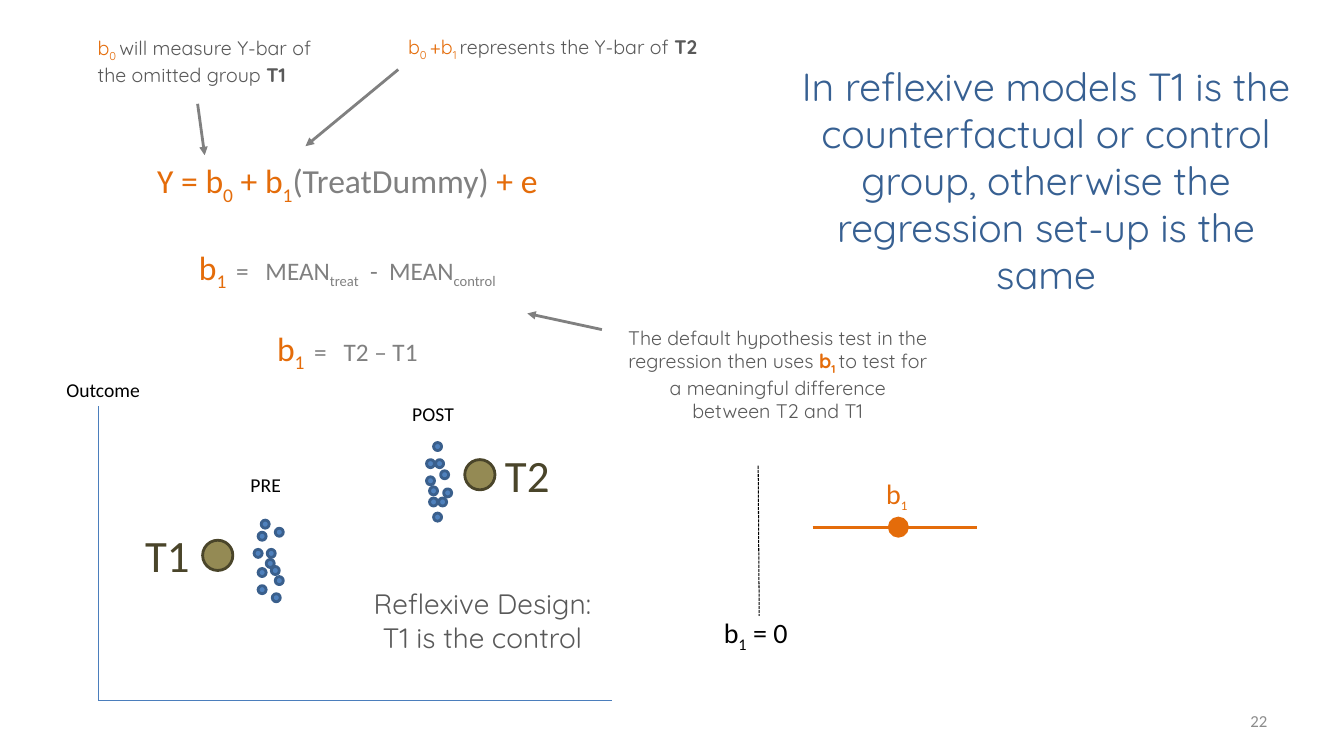
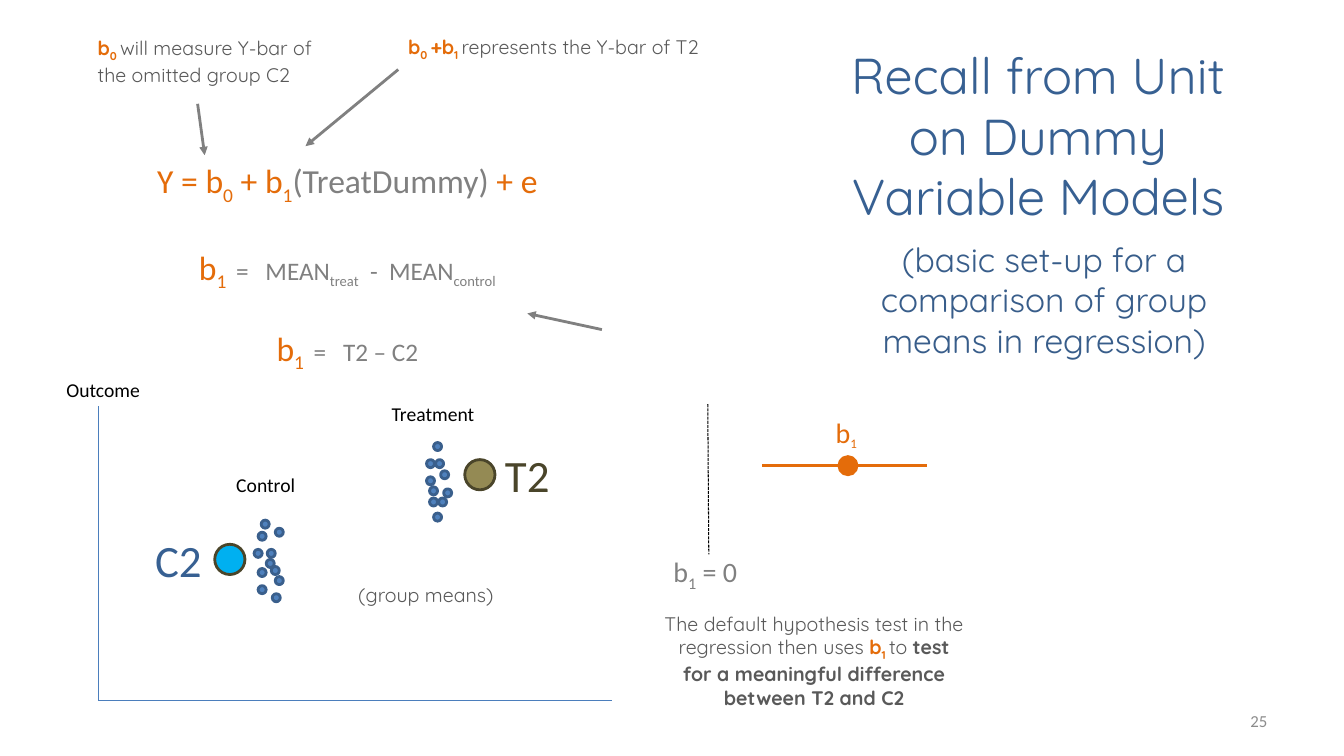
from lxml import etree
from pptx import Presentation
from pptx.dml.color import RGBColor
from pptx.enum.dml import MSO_LINE
from pptx.enum.shapes import MSO_CONNECTOR, MSO_SHAPE
from pptx.enum.text import MSO_ANCHOR, MSO_AUTO_SIZE, PP_ALIGN
from pptx.oxml.ns import qn
from pptx.util import Inches, Pt

LEFT, CENTER, RIGHT = PP_ALIGN.LEFT, PP_ALIGN.CENTER, PP_ALIGN.RIGHT
TOP, MIDDLE = MSO_ANCHOR.TOP, MSO_ANCHOR.MIDDLE
NO_FIT = MSO_AUTO_SIZE.NONE
STRAIGHT = MSO_CONNECTOR.STRAIGHT
OVAL = MSO_SHAPE.OVAL
SHORT_DASH = MSO_LINE.SQUARE_DOT

COLORS = {
    "black": "000000", "gray": "808080", "text": "595959", "number": "8C8C8C",
    "orange": "E46C0A", "title": "376092", "subtitle": "385D8A",
    "axis": "4B7EBC", "dot": "4F81BD", "dot_edge": "3A5F8C",
    "olive": "948A54", "olive_dark": "4A452A", "cyan": "00B0F0",
}
BODY, HEAD = "Calibri", "Quicksand"

SUB = {"baseline": -25000}
WIDE_SUB = {"baseline": -25000, "spc": 180}
GRAY = {"color": "gray", "size": 18}
GRAY_SUB = {**GRAY, **SUB}
GRAY_EQUALS = {**GRAY, "spc": 400}
GRAY_MINUS = {**GRAY, "spc": 200}
ORANGE = {"color": "orange"}
BOLD = {"bold": True}
ORANGE_BOLD = {**ORANGE, **BOLD}

PRE_DOTS = [(2.52, 5.45), (2.65, 5.45), (2.64, 5.55), (2.56, 5.64), (2.73, 5.72),
            (2.56, 5.81), (2.7, 5.89), (2.73, 5.24), (2.59, 5.16), (2.56, 5.28),
            (2.69, 5.62)]
POST_DOTS = [(4.23, 4.73), (4.23, 4.56), (4.37, 4.67), (4.4, 4.85), (4.26, 4.94),
             (4.35, 4.94), (4.3, 5.09), (4.3, 4.39), (4.32, 4.56), (4.26, 4.83)]

SLIDES = [
    {
        "number": "22",
        "title": "In reflexive models T1 is the counterfactual or control group, "
                 "otherwise the regression set-up is the same",
        "title_at": (7.81, 0.57, 5.13, 2.46), "title_size": 28,
        "base": "T1", "base_at": (1.34, 5.19, 0.65, 0.64),
        "base_color": "olive_dark", "base_mean": (2.01, 5.36, "olive"),
        "before": "PRE", "after": "POST",
        "term": {}, "group": BOLD,
        "test_at": (6.13, 3.18, 3.17, 1.04),
        "test_end": [("to test for a meaningful difference between T2 and T1", {})],
        "plot": (7.52, 4.62), "zero_color": "black",
        "note": ["Reflexive Design:", "T1 is the control"],
        "note_at": (3.2, 5.77, 3.17, 0.77), "note_size": 20,
    },
    {
        "number": "25",
        "title": "Recall from Unit on Dummy Variable Models",
        "title_at": (8.22, 0.39, 4.15, 1.92), "title_size": 36,
        "subtitle": "(basic set-up for a comparison of group means in regression)",
        "base": "C2", "base_at": (1.44, 5.24, 0.67, 0.64),
        "base_color": "title", "base_mean": (2.13, 5.4, "cyan"),
        "before": "Control", "after": "Treatment",
        "term": BOLD, "group": {},
        "test_at": (6.49, 6.02, 3.17, 1.04),
        "test_end": [("to ", {}),
                     ("test for a meaningful difference between T2 and C2", BOLD)],
        "plot": (7.02, 4.01), "zero_color": "gray",
        "note": ["(group means)"],
        "note_at": (2.64, 5.73, 3.17, 0.34), "note_size": 14,
    },
]


def add_text(page, at, paras, size, color, font=BODY, align=LEFT, wrap=False,
             gaps=(), anchor=TOP, box=None):
    if box is None:
        box = page.shapes.add_textbox(0, 0, 0, 0)
    box.left, box.top, box.width, box.height = [Inches(v) for v in at]
    frame = box.text_frame
    frame.word_wrap = wrap
    frame.auto_size = NO_FIT
    frame.vertical_anchor = anchor
    for index, spans in enumerate(paras):
        para = frame.paragraphs[0] if index == 0 else frame.add_paragraph()
        para.alignment = align
        if index and gaps:
            para.space_before = Pt(gaps[index - 1])
        para.font.name = font
        para.font.size = Pt(size)
        para.font.color.rgb = RGBColor.from_string(COLORS[color])
        for text, style in spans:
            span = para.add_run()
            span.text = text
            if "color" in style:
                span.font.color.rgb = RGBColor.from_string(COLORS[style["color"]])
            if "size" in style:
                span.font.size = Pt(style["size"])
            if "bold" in style:
                span.font.bold = True
            for name in ("baseline", "spc"):
                if name in style:
                    span._r.get_or_add_rPr().set(name, str(style[name]))


def add_line(page, start, end, color, width, dash=None, arrow=False):
    line = page.shapes.add_connector(STRAIGHT, *[Inches(v) for v in (*start, *end)])
    line.line.color.rgb = RGBColor.from_string(COLORS[color])
    line.line.width = Pt(width)
    if dash:
        line.line.dash_style = dash
    if arrow:
        etree.SubElement(line.line._get_or_add_ln(), qn("a:tailEnd"), type="triangle")
    etree.SubElement(line._element.spPr, qn("a:effectLst"))


deck = Presentation()
deck.slide_width, deck.slide_height = Inches(13.33), Inches(7.5)

for content in SLIDES:
    page = deck.slides.add_slide(deck.slide_layouts[5])
    plot_x, plot_y = content["plot"]
    base = content["base"]
    term = {**ORANGE, **content["term"]}
    term_sub = {**term, **SUB}

    add_text(page, content["title_at"], [[(content["title"], {})]],
             content["title_size"], "title", HEAD, CENTER, True, box=page.shapes.title)
    if "subtitle" in content:
        add_text(page, (8.49, 2.32, 3.73, 1.31), [[(content["subtitle"], {})]],
                 24, "subtitle", HEAD, CENTER, True)
    add_text(page, (9.56, 6.95, 3.11, 0.4), [[(content["number"], {})]],
             12, "number", align=RIGHT, wrap=True, anchor=MIDDLE)

    for end in ((6.07, 6.95), (0.98, 4.03)):
        add_line(page, (0.98, 6.95), end, "axis", 0.75)
    add_line(page, (plot_x, plot_y), (plot_x + 0.01, plot_y + 1.49),
             "black", 0.75, dash=SHORT_DASH)
    add_line(page, (plot_x + 0.54, plot_y + 0.61), (plot_x + 2.17, plot_y + 0.61),
             "orange", 2)
    for start, end in (((1.96, 1.03), (2.03, 1.54)),
                       ((3.95, 0.69), (3.03, 1.45)),
                       ((5.97, 3.27), (5.23, 3.11))):
        add_line(page, start, end, "gray", 2, arrow=True)

    mean_x, mean_y, mean_fill = content["base_mean"]
    circles = [(x, y, 0.08, "dot", "dot_edge") for x, y in PRE_DOTS + POST_DOTS]
    circles += [
        (mean_x, mean_y, 0.3, mean_fill, "olive_dark"),
        (4.61, 4.56, 0.3, "olive", "olive_dark"),
        (plot_x + 1.3, plot_y + 0.52, 0.18, "orange", "orange"),
    ]
    for x, y, size, fill, edge in circles:
        circle = page.shapes.add_shape(OVAL, Inches(x), Inches(y), Inches(size), Inches(size))
        circle.shadow.inherit = False
        circle.fill.solid()
        circle.fill.fore_color.rgb = RGBColor.from_string(COLORS[fill])
        circle.line.color.rgb = RGBColor.from_string(COLORS[edge])
        circle.line.width = Pt(2)

    for at, label, size, color, align in (
            ((0.56, 3.7, 0.94, 0.34), "Outcome", 14, "black", LEFT),
            ((3.78, 3.94, 1.03, 0.34), content["after"], 14, "black", CENTER),
            ((2.24, 4.64, 0.79, 0.34), content["before"], 14, "black", CENTER),
            ((4.91, 4.39, 0.65, 0.64), "T2", 32, "olive_dark", LEFT),
            (content["base_at"], base, 32, content["base_color"], LEFT)):
        add_text(page, at, [[(label, {})]], size, color, align=align)

    add_text(page, (plot_x - 0.44, plot_y + 1.44, 0.85, 0.44),
             [[("b", {}), ("1", SUB), (" = 0", {})]], 20, content["zero_color"])
    add_text(page, (plot_x + 1.17, plot_y + 0.06, 0.42, 0.44),
             [[("b", {}), ("1", {**SUB, "size": 16})]], 20, "orange")

    add_text(page, (1.37, 1.54, 4.15, 2.12), [
        [("Y = b", {}), ("0", SUB), (" + b", {}), ("1", SUB),
         ("(TreatDummy) ", {"color": "gray"}), ("+ e", {})],
        [("b", {}), ("1 ", WIDE_SUB), ("= ", GRAY_EQUALS), ("MEAN", GRAY),
         ("treat", GRAY_SUB), (" ", GRAY_EQUALS), ("- ", GRAY_MINUS),
         ("MEAN", GRAY), ("control", GRAY_SUB)],
        [("b", {}), ("1 ", WIDE_SUB), ("= ", GRAY_EQUALS), (f"T2 – {base}", GRAY)],
    ], 24, "orange", align=CENTER, gaps=(29, 25))

    add_text(page, (0.87, 0.31, 2.49, 0.57),
             [[("b", term), ("0 ", term_sub),
               ("will measure Y-bar of the omitted group ", {}),
               (base, content["group"])]],
             14, "text", HEAD, wrap=True)
    add_text(page, (3.95, 0.3, 3.44, 0.57),
             [[("b", term), ("0 ", term_sub), ("+b", term), ("1 ", term_sub),
               ("represents the Y-bar of ", {}), ("T2", content["group"])]],
             14, "text", HEAD, wrap=True)
    add_text(page, content["test_at"],
             [[("The default hypothesis test in the regression then uses ", {}),
               ("b", ORANGE_BOLD), ("1 ", {**ORANGE_BOLD, **SUB}),
               *content["test_end"]]],
             14, "text", HEAD, CENTER, True)
    add_text(page, content["note_at"], [[(line, {})] for line in content["note"]],
             content["note_size"], "text", HEAD, CENTER, True)

deck.save("out.pptx")
